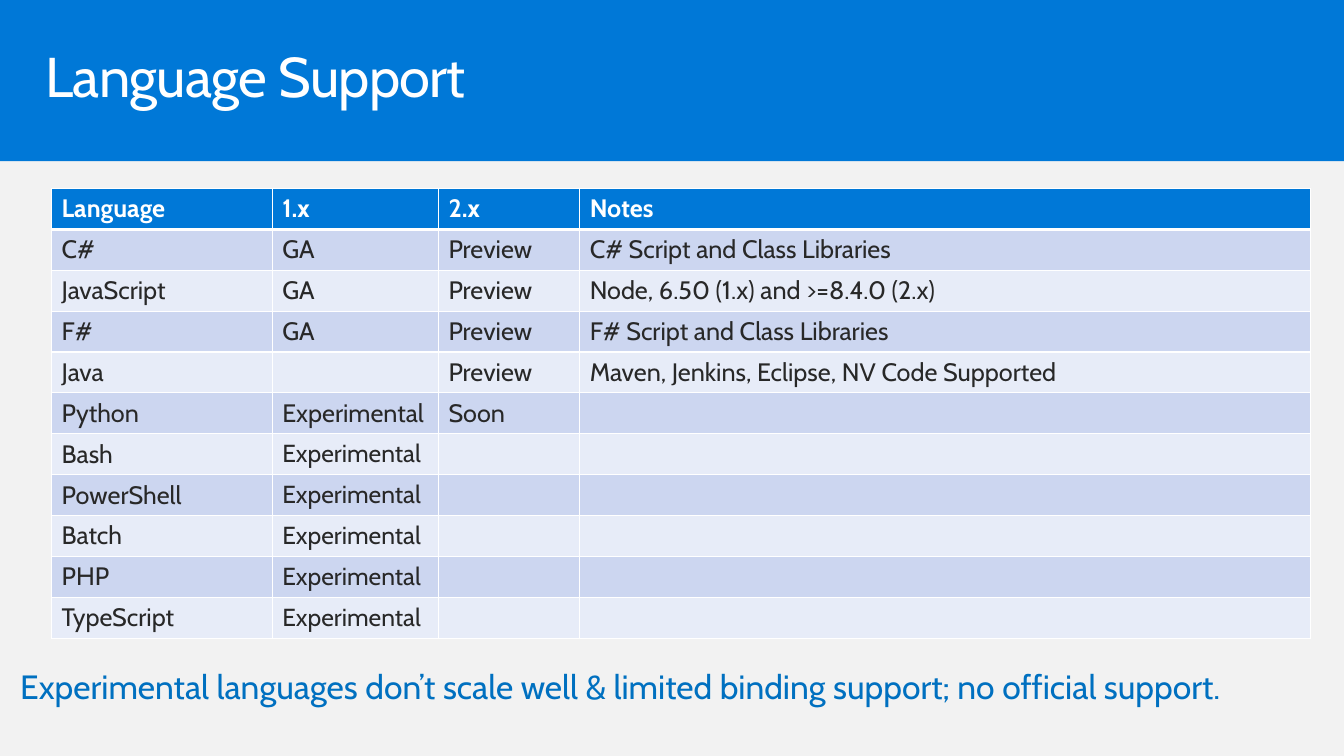
"""Build the Language Support slide with its table of runtimes."""
from lxml.etree import SubElement
from pptx import Presentation
from pptx.dml.color import RGBColor
from pptx.enum.shapes import MSO_SHAPE
from pptx.enum.text import MSO_ANCHOR, PP_ALIGN
from pptx.oxml.ns import qn
from pptx.util import Cm, Pt

TITLE = "Language Support"
FOOT = ("Experimental languages don’t scale well & limited binding support; "
        "no official support.")
TRIAL = "Experimental"
ROWS = [
    ("Language", "1.x", "2.x", "Notes"),
    ("C#", "GA", "Preview", "C# Script and Class Libraries"),
    ("JavaScript", "GA", "Preview", "Node, 6.50 (1.x) and >=8.4.0 (2.x)"),
    ("F#", "GA", "Preview", "F# Script and Class Libraries"),
    ("Java", "", "Preview", "Maven, Jenkins, Eclipse, NV Code Supported"),
    ("Python", TRIAL, "Soon", ""),
    ("Bash", TRIAL, "", ""),
    ("PowerShell", TRIAL, "", ""),
    ("Batch", TRIAL, "", ""),
    ("PHP", TRIAL, "", ""),
    ("TypeScript", TRIAL, "", ""),
]
COLS = (5.56, 4.19, 3.56, 18.42)
ROW_H = 0.94
WIDE, HIGH = 33.87, 19.05

BLUE = RGBColor(0x00, 0x78, 0xD7)
LINK = RGBColor(0x00, 0x70, 0xC0)
WHITE = RGBColor(0xFF, 0xFF, 0xFF)
INK = RGBColor(0x28, 0x28, 0x28)
PAGE = RGBColor(0xF2, 0xF2, 0xF2)
BANDS = (RGBColor(0xE7, 0xEC, 0xF8), RGBColor(0xCC, 0xD6, 0xF0))

HEAD = {"name": "Cabin", "size": Pt(18), "bold": True}
BODY = {**HEAD, "bold": False}
SMALL = {**BODY, "size": Pt(17.6)}
BIG = {**BODY, "size": Pt(40)}
NOTE = {**BODY, "size": Pt(24)}


def apply(item, form):
    """Set each attribute of an item from a dict."""
    for key, value in form.items():
        setattr(item, key, value)


def write(para, text, form, color):
    """Add a formatted run to a paragraph."""
    run = para.add_run()
    run.text = text
    apply(run.font, form)
    run.font.color.rgb = color
    return run


def frame_text(shape, pad_x, pad_y):
    """Set up a text frame and return its first paragraph."""
    frame = shape.text_frame
    apply(frame, {
        "word_wrap": True, "vertical_anchor": MSO_ANCHOR.TOP,
        "margin_left": Cm(pad_x), "margin_right": Cm(pad_x),
        "margin_top": Cm(pad_y), "margin_bottom": Cm(pad_y)})
    para = frame.paragraphs[0]
    apply(para, {"alignment": PP_ALIGN.LEFT, "line_spacing": 0.9})
    return para


def edge(cell, widths):
    """Draw white borders around a cell."""
    props = cell._tc.get_or_add_tcPr()
    for side, width in widths.items():
        line = SubElement(props, qn("a:ln" + side), w=str(Pt(width)))
        fill = SubElement(line, qn("a:solidFill"))
        SubElement(fill, qn("a:srgbClr"), val=str(WHITE))


def add_title(slide):
    """Draw the banner and place the title on it."""
    title = slide.shapes.title
    banner = slide.shapes.add_shape(
        MSO_SHAPE.RECTANGLE, 0, 0, Cm(WIDE), Cm(4.06))
    banner.shadow.inherit = False
    banner.fill.solid()
    banner.fill.fore_color.rgb = BLUE
    banner.line.fill.background()
    title.element.addprevious(banner.element)
    apply(title, {"left": Cm(0.74), "top": Cm(0.99),
                  "width": Cm(32.39), "height": Cm(2.49)})
    run = write(frame_text(title, 0.41, 0.25), TITLE, BIG, WHITE)
    run._r.get_or_add_rPr().set("spc", "-50")


def add_grid(slide):
    """Add the language table."""
    table = slide.shapes.add_table(
        len(ROWS), len(COLS), Cm(1.3), Cm(4.75),
        Cm(sum(COLS)), Cm(ROW_H * len(ROWS))).table
    for col, width in zip(table.columns, COLS):
        col.width = Cm(width)
    for r, row in enumerate(ROWS):
        table.rows[r].height = Cm(ROW_H)
        for c, text in enumerate(row):
            cell = table.cell(r, c)
            edge(cell, {"L": 1, "R": 1, "T": 3 if r == 1 else 1,
                        "B": 1 if r else 3})
            cell.fill.solid()
            cell.fill.fore_color.rgb = BANDS[r % 2] if r else BLUE
            if text:
                small = text == TRIAL and r > 5
                form = SMALL if small else BODY if r else HEAD
                write(cell.text_frame.paragraphs[0], text, form,
                      INK if r else WHITE)


def add_foot(slide):
    """Add the closing remark under the table."""
    box = slide.shapes.add_textbox(0, Cm(16.48), Cm(WIDE), Cm(1.75))
    para = frame_text(box, 0.51, 0.41)
    para.space_after = Pt(6)
    write(para, FOOT, NOTE, LINK)


def main():
    """Build and save the deck."""
    deck = Presentation()
    apply(deck, {"slide_width": Cm(WIDE), "slide_height": Cm(HIGH)})
    slide = deck.slides.add_slide(deck.slide_layouts[5])
    slide.background.fill.solid()
    slide.background.fill.fore_color.rgb = PAGE
    add_title(slide)
    add_grid(slide)
    add_foot(slide)
    deck.save("out.pptx")


if __name__ == "__main__":
    main()
